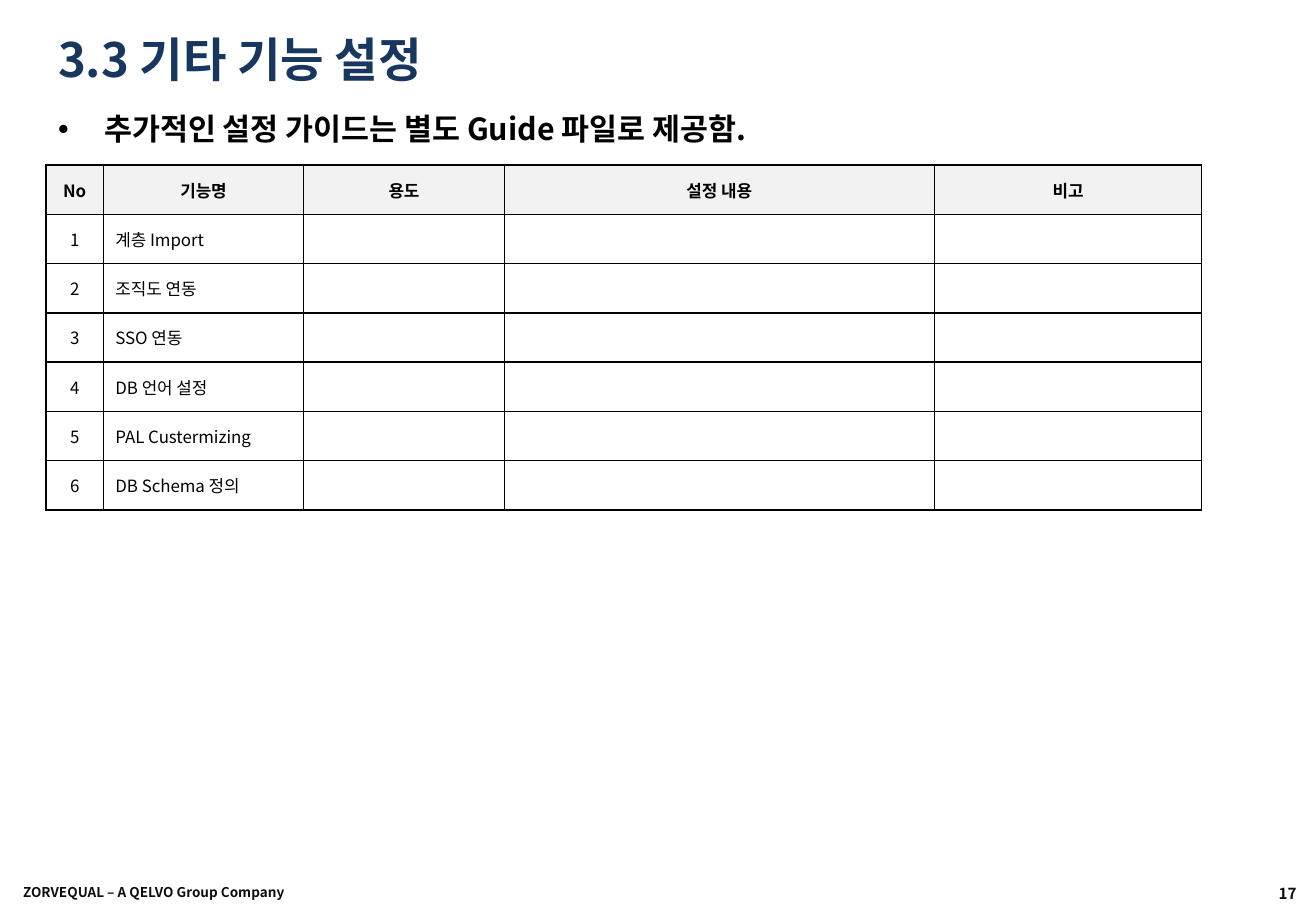
from dataclasses import dataclass

from lxml.etree import SubElement
from pptx import Presentation
from pptx.dml.color import RGBColor
from pptx.enum.text import MSO_ANCHOR as Anchor, PP_ALIGN as Align
from pptx.oxml.ns import qn
from pptx.util import Inches, Pt


@dataclass(frozen=True)
class Theme:
    font: str = "Noto Sans CJK KR"
    title: str = "17375E"
    ink: str = "000000"
    footer: str = "0D0D0D"
    header_fill: str = "F2F2F2"
    title_size: int = 28
    lead_size: int = 18
    cell_size: int = 10
    page_size: int = 9
    company_size: int = 8
    border: float = 1


THEME = Theme()
COLUMN_WIDTHS = [0.47, 1.65, 1.65, 3.54, 2.2]
HEADERS = ["No", "기능명", "용도", "설정 내용", "비고"]
FEATURES = ["계층 Import", "조직도 연동", "SSO 연동", "DB 언어 설정",
            "PAL Custermizing", "DB Schema 정의"]


def write(paragraph, text, size, color, bold=True, align=Align.LEFT):
    paragraph.text = text
    paragraph.alignment = align
    for run in paragraph.runs:
        font = run.font
        font.name, font.size, font.bold = THEME.font, Pt(size), bold
        font.color.rgb = RGBColor.from_string(color)
        SubElement(font._element, qn("a:ea"), typeface=THEME.font)
    if not text:
        # An empty cell keeps its row low only if its end mark is small
        SubElement(paragraph._p, qn("a:endParaRPr"), sz=str(size * 100))


def add_text(slide, box, text, size, color, anchor=Anchor.MIDDLE, align=Align.LEFT,
             inset=(0.1, 0.05)):
    frame = slide.shapes.add_textbox(*map(Inches, box)).text_frame
    frame.word_wrap = True
    frame.vertical_anchor = anchor
    frame.margin_left = frame.margin_right = Inches(inset[0])
    frame.margin_top = frame.margin_bottom = Inches(inset[1])
    write(frame.paragraphs[0], text, size, color, align=align)
    return frame.paragraphs[0]


def add_heading(slide, box):
    left, top, width, height = box
    add_text(slide, (left, top, width, 0.55), "3.3 기타 기능 설정",
             THEME.title_size, THEME.title)
    lead = add_text(slide, (left, top + 0.65, width, height - 0.65),
                    "추가적인 설정 가이드는 별도 Guide 파일로 제공함.",
                    THEME.lead_size, THEME.ink, Anchor.TOP)
    indent = Inches(0.38)
    properties = lead._p.get_or_add_pPr()
    properties.set("marL", str(indent))
    properties.set("indent", str(-indent))
    SubElement(properties, qn("a:buFont"), typeface="Arial")
    SubElement(properties, qn("a:buChar"), char="•")


def add_borders(cell):
    properties = cell._tc.get_or_add_tcPr()
    for side in ("lnL", "lnR", "lnT", "lnB"):
        line = SubElement(properties, qn(f"a:{side}"), w=str(Pt(THEME.border)))
        fill = SubElement(line, qn("a:solidFill"))
        SubElement(fill, qn("a:srgbClr"), val=THEME.ink)


def add_feature_table(slide, box):
    blanks = [""] * (len(HEADERS) - 2)
    rows = [HEADERS] + [[str(number), feature, *blanks]
                        for number, feature in enumerate(FEATURES, 1)]
    table = slide.shapes.add_table(len(rows), len(HEADERS), *map(Inches, box)).table
    table.first_row = table.horz_banding = False
    for column, width in zip(table.columns, COLUMN_WIDTHS):
        column.width = Inches(width)
    for r, texts in enumerate(rows):
        for c, text in enumerate(texts):
            cell = table.cell(r, c)
            is_header = r == 0
            add_borders(cell)
            if is_header:
                cell.fill.solid()
                cell.fill.fore_color.rgb = RGBColor.from_string(THEME.header_fill)
            else:
                cell.fill.background()
            cell.vertical_anchor = Anchor.MIDDLE
            write(cell.text_frame.paragraphs[0], text, THEME.cell_size, THEME.ink,
                  is_header, Align.CENTER if is_header or c == 0 else Align.LEFT)


def add_footer(slide, box):
    left, top, width, height = box
    inset, page_width = (0.12, 0.06), 2.53
    add_text(slide, (left, top, 3.43, height), "ZORVEQUAL – A QELVO Group Company",
             THEME.company_size, THEME.footer, inset=inset)
    add_text(slide, (left + width - page_width, top + 0.01, page_width, height), "17",
             THEME.page_size, THEME.footer, align=Align.RIGHT, inset=inset)


def main():
    deck = Presentation()
    deck.slide_width, deck.slide_height = Inches(10.83), Inches(7.5)
    slide = deck.slides.add_slide(deck.slide_layouts[6])
    add_footer(slide, (0.07, 7.14, 10.72, 0.41))
    add_heading(slide, (0.38, 0.21, 9.8, 1.1))
    add_feature_table(slide, (0.38, 1.36, sum(COLUMN_WIDTHS), 2.84))
    deck.save("out.pptx")


if __name__ == "__main__":
    main()
